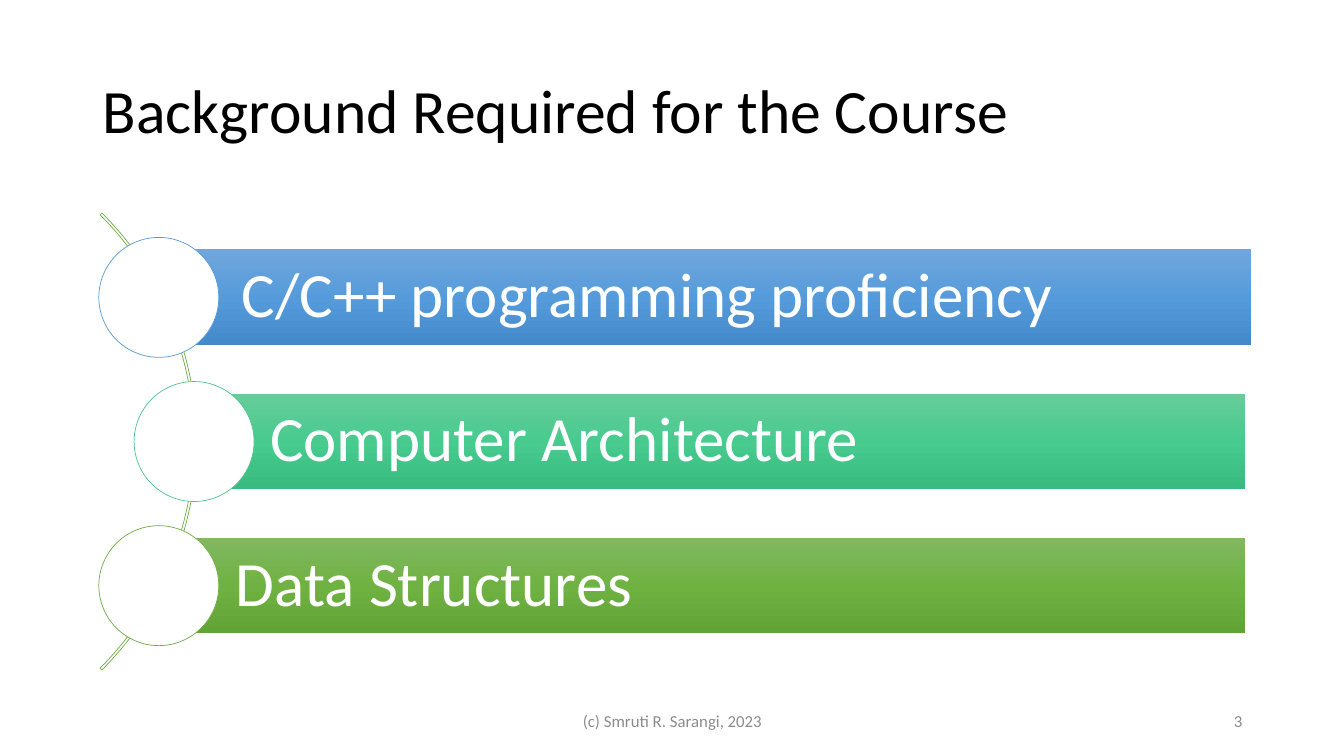
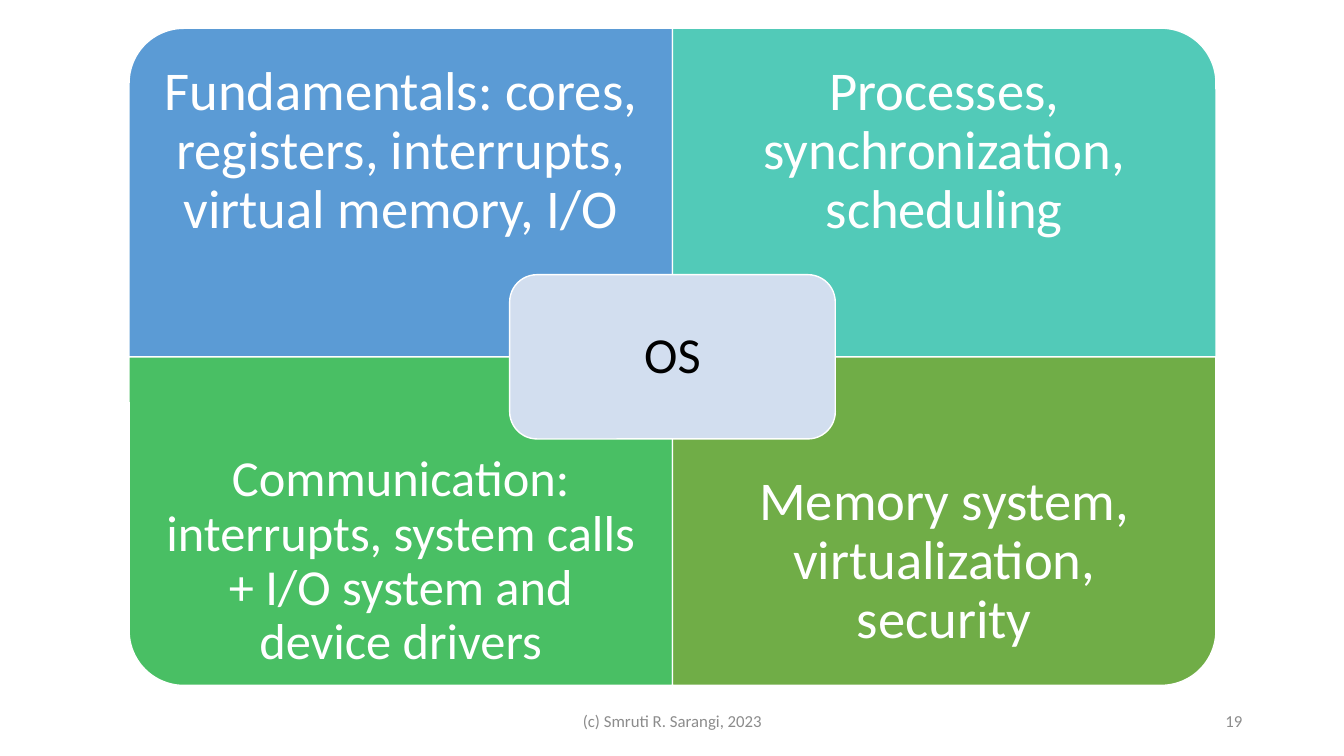
from copy import deepcopy

from pptx import Presentation
from pptx.dml.color import RGBColor
from pptx.enum.shapes import MSO_SHAPE
from pptx.enum.text import MSO_ANCHOR, PP_ALIGN
from pptx.oxml.ns import qn
from pptx.util import Inches, Pt

LEFT, CENTER, RIGHT = PP_ALIGN.LEFT, PP_ALIGN.CENTER, PP_ALIGN.RIGHT
MIDDLE = MSO_ANCHOR.MIDDLE
RECTANGLE, OVAL, BLOCK_ARC = MSO_SHAPE.RECTANGLE, MSO_SHAPE.OVAL, MSO_SHAPE.BLOCK_ARC
ONE_ROUND_CORNER, ROUNDED = MSO_SHAPE.ROUND_1_RECTANGLE, MSO_SHAPE.ROUNDED_RECTANGLE

FONT = "Calibri"
WHITE = RGBColor(0xFF, 0xFF, 0xFF)
BLACK = RGBColor(0x00, 0x00, 0x00)
GRAY = RGBColor(0x8C, 0x8C, 0x8C)
BLUE = RGBColor(0x5B, 0x9B, 0xD5)
PALE_BLUE = RGBColor(0xD2, 0xDE, 0xEF)
TEAL = RGBColor(0x52, 0xCA, 0xB8)
SEA_GREEN = RGBColor(0x4D, 0xC5, 0x8D)
EMERALD = RGBColor(0x49, 0xBF, 0x64)
GREEN = RGBColor(0x70, 0xAD, 0x47)
BLUE_GRADIENT = (RGBColor(0x71, 0xA6, 0xDB), RGBColor(0x55, 0x9B, 0xDB), RGBColor(0x44, 0x8A, 0xCA))
SEA_GRADIENT = (RGBColor(0x67, 0xCC, 0x9A), RGBColor(0x47, 0xCB, 0x8E), RGBColor(0x39, 0xBB, 0x7F))
GREEN_GRADIENT = (RGBColor(0x81, 0xB8, 0x61), RGBColor(0x6F, 0xB2, 0x42), RGBColor(0x62, 0xA3, 0x36))


def write(shape, text, size, color, alignment, insets=(0.1, 0.05, 0.1, 0.05), line_spacing=0.9):
    """Set one vertically centred paragraph; insets are left, top, right, bottom."""
    frame = shape.text_frame
    frame.word_wrap = True
    frame.vertical_anchor = MIDDLE
    frame.margin_left, frame.margin_top, frame.margin_right, frame.margin_bottom = map(Inches, insets)
    paragraph = frame.paragraphs[0]
    paragraph.alignment = alignment
    paragraph.line_spacing = line_spacing
    run = paragraph.add_run()
    run.text = text
    run.font.name = FONT
    run.font.size = Pt(size)
    run.font.color.rgb = color


def add_shape(slide, kind, left, top, width, height, fill=None, line=None, line_width=1):
    shape = slide.shapes.add_shape(kind, Inches(left), Inches(top), Inches(width), Inches(height))
    shape.shadow.inherit = False
    if fill is None:
        shape.fill.background()
    else:
        shape.fill.solid()
        shape.fill.fore_color.rgb = fill
    if line is None:
        shape.line.fill.background()
    else:
        shape.line.color.rgb = line
        shape.line.width = Pt(line_width)
    return shape


presentation = Presentation()
presentation.slide_width = Inches(13.33)
presentation.slide_height = Inches(7.5)
title_only, blank = presentation.slide_layouts[5], presentation.slide_layouts[6]
background_slide = presentation.slides.add_slide(title_only)
topics_slide = presentation.slides.add_slide(blank)

# Footers
for slide, number in ((background_slide, "3"), (topics_slide, "19")):
    for text, left, width, alignment in (
        ("(c) Smruti R. Sarangi, 2023", 4.42, 4.5, CENTER),
        (number, 9.42, 3, RIGHT),
    ):
        box = slide.shapes.add_textbox(Inches(left), Inches(6.95), Inches(width), Inches(0.4))
        write(box, text, 12, GRAY, alignment, line_spacing=1)

# Background required: three bars along an arc
title = background_slide.shapes.title
title.left, title.top, title.width, title.height = Inches(0.92), Inches(0.4), Inches(11.5), Inches(1.45)
write(title, "Background Required for the Course", 44, BLACK, LEFT)

ARC_SIZE, BAR_HEIGHT, CIRCLE_SIZE = 6.41, 0.95, 1.19
MIDDLE_Y, BAR_PITCH = 4.38, 1.43
arc = add_shape(background_slide, BLOCK_ARC, -4.46, MIDDLE_Y - ARC_SIZE / 2, ARC_SIZE, ARC_SIZE,
                line=GREEN, line_width=0.5)
for index, adjustment in enumerate((189, 27, 0.004)):  # start angle, end angle, thickness
    arc.adjustments[index] = adjustment

bars = (
    ("C/C++ programming proficiency", 1.64, 10.77, 0.98, BLUE_GRADIENT, BLUE),
    ("Computer Architecture", 1.92, 10.43, 1.33, SEA_GRADIENT, SEA_GREEN),
    ("Data Structures", 1.58, 10.77, 0.98, GREEN_GRADIENT, GREEN),
)
for row, (text, left, width, circle_left, gradient, outline) in enumerate(bars):
    center_y = MIDDLE_Y + (row - 1) * BAR_PITCH
    bar = add_shape(background_slide, RECTANGLE, left, center_y - BAR_HEIGHT / 2, width, BAR_HEIGHT)
    bar.fill.gradient()
    bar.fill.gradient_angle = 270
    stop_list = bar.element.spPr.find(qn("a:gradFill")).find(qn("a:gsLst"))
    stop_list.insert(1, deepcopy(stop_list[0]))
    for stop, color, position in zip(bar.fill.gradient_stops, gradient, (0, 0.5, 1)):
        stop.color.rgb = color
        stop.position = position
    write(bar, text, 45, WHITE, LEFT, (0.76, 0.12, 0.12, 0.12))
    add_shape(background_slide, OVAL, circle_left, center_y - CIRCLE_SIZE / 2, CIRCLE_SIZE, CIRCLE_SIZE,
              WHITE, outline, 0.5)

# Course topics: four quadrants around a hub
GRID_LEFT, GRID_TOP = 1.28, 0.28
QUADRANT_WIDTH, QUADRANT_HEIGHT, TEXT_HEIGHT = 5.39, 3.26, 2.45
HUB_WIDTH, HUB_HEIGHT = 3.23, 1.63
quadrants = (
    ("Fundamentals: cores, registers, interrupts, virtual memory, I/O", 0, 0, 270, BLUE, 39, 0.3),
    ("Processes, synchronization, scheduling", 1, 0, 0, TEAL, 39, 0.3),
    ("Communication: interrupts, system calls + I/O system and device drivers", 0, 1, 180, EMERALD, 36, 0.28),
    ("Memory system, virtualization, security", 1, 1, 90, GREEN, 39, 0.3),
)
for text, column, row, rotation, color, size, inset in quadrants:
    left = GRID_LEFT + column * QUADRANT_WIDTH
    top = GRID_TOP + row * QUADRANT_HEIGHT
    width, height = QUADRANT_WIDTH, QUADRANT_HEIGHT
    if rotation in (90, 270):
        width, height = height, width
    quadrant = add_shape(topics_slide, ONE_ROUND_CORNER, left + (QUADRANT_WIDTH - width) / 2,
                         top + (QUADRANT_HEIGHT - height) / 2, width, height, color, WHITE)
    quadrant.rotation = rotation
    text_top = top + row * (QUADRANT_HEIGHT - TEXT_HEIGHT)
    box = topics_slide.shapes.add_textbox(Inches(left), Inches(text_top),
                                          Inches(QUADRANT_WIDTH), Inches(TEXT_HEIGHT))
    write(box, text, size, WHITE, CENTER, (inset,) * 4)

hub = add_shape(topics_slide, ROUNDED, GRID_LEFT + QUADRANT_WIDTH - HUB_WIDTH / 2,
                GRID_TOP + QUADRANT_HEIGHT - HUB_HEIGHT / 2, HUB_WIDTH, HUB_HEIGHT, PALE_BLUE, WHITE)
write(hub, "OS", 36, BLACK, CENTER, (0.15,) * 4)

presentation.save("out.pptx")
